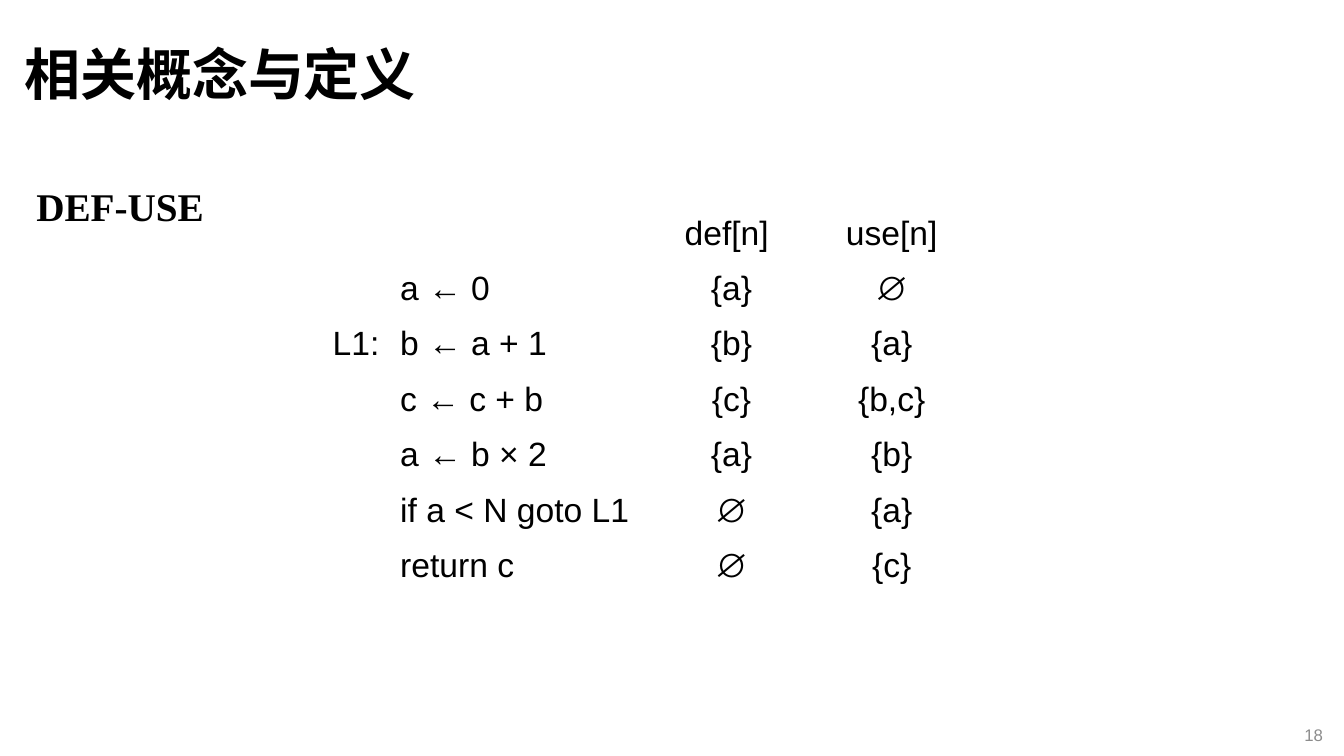
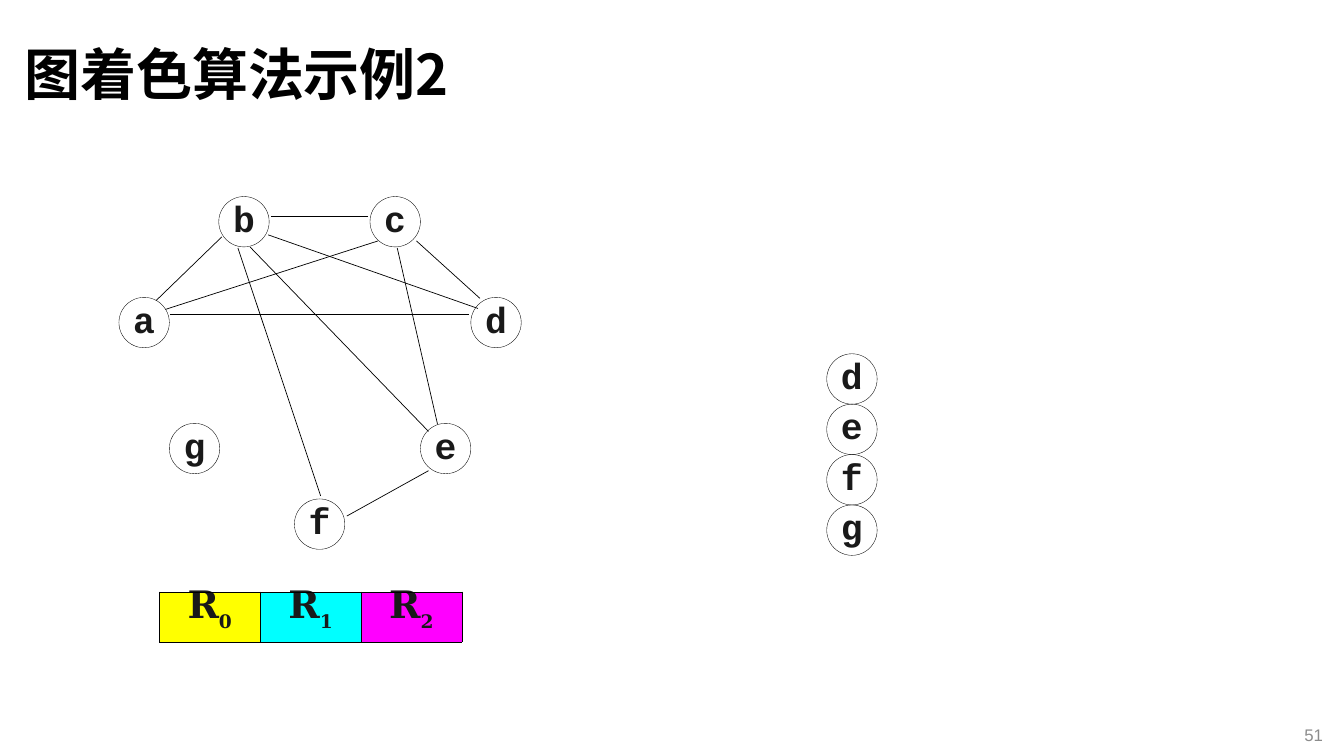
from lxml import etree
from pptx import Presentation
from pptx.dml.color import RGBColor
from pptx.enum.shapes import MSO_CONNECTOR as CONNECTOR, MSO_SHAPE as SHAPE
from pptx.enum.text import MSO_ANCHOR as ANCHOR, MSO_AUTO_SIZE as AUTO_SIZE, PP_ALIGN as ALIGN
from pptx.oxml.ns import qn
from pptx.util import Inches, Pt

# Shared style
BLACK = RGBColor(0x00, 0x00, 0x00)
INK = RGBColor(0x19, 0x19, 0x19)
GREY = RGBColor(0x8C, 0x8C, 0x8C)
YELLOW = RGBColor(0xFF, 0xFF, 0x00)
CYAN = RGBColor(0x00, 0xFF, 0xFF)
MAGENTA = RGBColor(0xFF, 0x00, 0xFF)

TITLE_FONT = "Noto Sans CJK SC"
TEXT_FONT = "Arial"
HEADING_FONT = "Times New Roman"
NODE_FONT = "Courier New"
REGISTER_FONT = "DejaVu Serif"
PLAIN_TABLE = "{2D5ABB26-0587-4C30-8999-92F81FD0307C}"

TITLE_ONLY, TITLE_AND_BODY = 5, 1

# Slide 1: def and use sets of each statement
DEF_USE_COLUMNS = [0.67, 2.54, 1.69, 1.49]
DEF_USE_ROWS = [
    ("", "", "def[n] ", "use[n]"),
    ("", "a ← 0", "{a}", "∅"),
    ("L1:", "b ← a + 1", "{b}", "{a}"),
    ("", "c ← c + b", "{c}", "{b,c}"),
    ("", "a ← b × 2", "{a}", "{b}"),
    ("", "if a < N goto L1", "∅", "{a}"),
    ("", "return c", "∅", "{c}"),
]

# Slide 2: interference graph, stack and registers
NODE_SIZE = 0.5
GRAPH_NODES = {
    "a": (1.18, 2.95), "b": (2.17, 1.95), "c": (3.67, 1.95), "d": (4.67, 2.95),
    "e": (4.17, 4.2), "f": (2.92, 4.95), "g": (1.68, 4.2),
}
GRAPH_EDGES = [
    ((2.48, 2.45), (4.25, 4.28)),  # b-e
    ((3.94, 2.46), (4.34, 4.21)),  # c-e
    ((2.36, 2.46), (3.18, 4.92)),  # b-f
    ((4.25, 4.67), (3.44, 5.12)),  # e-f
    ((2.2, 2.35), (1.55, 2.98)),   # b-a
    ((4.65, 3.12), (1.69, 3.12)),  # d-a
    ((4.76, 2.96), (4.13, 2.39)),  # d-c
    ((3.65, 2.15), (2.69, 2.15)),  # c-b
    ((3.75, 2.39), (1.64, 3.07)),  # c-a
    ((4.74, 3.06), (2.66, 2.33)),  # d-b
]
STACK_LEFT, STACK_TOP = 8.2, 3.51
STACK = "defg"
REGISTER_FILLS = [YELLOW, CYAN, MAGENTA]


def set_font(run, name, size, color, bold=False):
    run.font.name = name
    run.font.size = Pt(size)
    run.font.bold = bold
    run.font.color.rgb = color


def place(shape, left, top, width, height):
    shape.left, shape.top = Inches(left), Inches(top)
    shape.width, shape.height = Inches(width), Inches(height)


def add_page(prs, layout, heading, number):
    """Add a slide with the shared title and page number."""
    slide = prs.slides.add_slide(prs.slide_layouts[layout])
    title = slide.shapes.title
    place(title, 0.14, 0.15, 12.57, 1.24)
    frame = title.text_frame
    frame.text = heading
    frame.auto_size = AUTO_SIZE.NONE
    frame.vertical_anchor = ANCHOR.MIDDLE
    paragraph = frame.paragraphs[0]
    paragraph.alignment = ALIGN.LEFT
    paragraph.line_spacing = 0.9
    run = paragraph.runs[0]
    set_font(run, TITLE_FONT, 40, BLACK, bold=True)
    run.font.language_id = None
    east_asian = etree.SubElement(run.font._element, qn("a:ea"))
    east_asian.set("typeface", TITLE_FONT)

    page_number = slide.shapes.add_textbox(
        Inches(10.22), Inches(7.09), Inches(3), Inches(0.4))
    frame = page_number.text_frame
    frame.word_wrap = True
    frame.vertical_anchor = ANCHOR.MIDDLE
    frame.text = str(number)
    frame.paragraphs[0].alignment = ALIGN.RIGHT
    set_font(frame.paragraphs[0].runs[0], TEXT_FONT, 12, GREY)
    return slide


def add_body_heading(slide, text):
    body = slide.placeholders[1]
    place(body, 0.14, 1.52, 13.12, 5.57)
    frame = body.text_frame
    frame.text = text
    frame.auto_size = AUTO_SIZE.NONE
    paragraph = frame.paragraphs[0]
    properties = paragraph._p.get_or_add_pPr()
    properties.set("marL", str(Inches(0.47)))
    properties.set("indent", str(Inches(-0.35)))
    etree.SubElement(properties, qn("a:buNone"))
    paragraph.line_spacing = 1.5
    paragraph.space_before = Pt(0)
    set_font(paragraph.runs[0], HEADING_FONT, 28, BLACK, bold=True)


def add_plain_table(slide, left, top, columns, row_count, row_height):
    """Add a table without banding, borders or fills."""
    table = slide.shapes.add_table(
        row_count, len(columns), Inches(left), Inches(top),
        Inches(sum(columns)), Inches(row_height * row_count)).table
    table.first_row = table.horz_banding = False
    table._tbl.tblPr.find(qn("a:tableStyleId")).text = PLAIN_TABLE
    for column, width in zip(table.columns, columns):
        column.width = Inches(width)
    for row in table.rows:
        row.height = Inches(row_height)
    for cell in table.iter_cells():
        cell.fill.background()
    return table


def add_def_use_table(slide):
    table = add_plain_table(
        slide, 3.2, 2.08, DEF_USE_COLUMNS, len(DEF_USE_ROWS), 0.55)
    for row, texts in enumerate(DEF_USE_ROWS):
        for column, text in enumerate(texts):
            if not text:
                continue
            frame = table.cell(row, column).text_frame
            frame.text = text
            paragraph = frame.paragraphs[0]
            paragraph.alignment = ALIGN.CENTER if column >= 2 else ALIGN.LEFT
            set_font(paragraph.runs[0], TEXT_FONT, 24, BLACK)


def add_node(slide, label, left, top):
    node = slide.shapes.add_shape(
        SHAPE.OVAL, Inches(left), Inches(top), Inches(NODE_SIZE), Inches(NODE_SIZE))
    node.shadow.inherit = False
    node.fill.background()
    node.line.color.rgb = BLACK
    node.line.width = Pt(0.25)
    frame = node.text_frame
    frame.word_wrap = False
    frame.margin_left = frame.margin_right = frame.margin_top = 0
    frame.margin_bottom = Inches(0.08)
    frame.vertical_anchor = ANCHOR.MIDDLE
    frame.text = label
    frame.paragraphs[0].alignment = ALIGN.CENTER
    set_font(frame.paragraphs[0].runs[0], NODE_FONT, 26, INK, bold=True)


def add_edge(slide, start, end):
    edge = slide.shapes.add_connector(
        CONNECTOR.STRAIGHT, *(Inches(value) for value in start + end))
    edge.line.color.rgb = BLACK
    edge.line.width = Pt(0.5)
    etree.SubElement(edge._element.spPr, qn("a:effectLst"))


def add_cell_borders(cell):
    """Draw thin black borders; they must precede the cell's fill."""
    properties = cell._tc.get_or_add_tcPr()
    for position, side in enumerate(("lnL", "lnR", "lnT", "lnB")):
        border = etree.Element(qn(f"a:{side}"), w=str(Pt(0.25)))
        fill = etree.SubElement(border, qn("a:solidFill"))
        etree.SubElement(fill, qn("a:srgbClr"), val=str(BLACK))
        properties.insert(position, border)


def add_registers(slide):
    table = add_plain_table(slide, 1.58, 5.87, [1] * len(REGISTER_FILLS), 1, 0.5)
    for index, color in enumerate(REGISTER_FILLS):
        cell = table.cell(0, index)
        cell.fill.solid()
        cell.fill.fore_color.rgb = color
        add_cell_borders(cell)
        cell.margin_left = cell.margin_right = 0
        cell.margin_top = cell.margin_bottom = 0
        paragraph = cell.text_frame.paragraphs[0]
        paragraph._p.get_or_add_pPr().set("marL", str(Inches(0.28)))
        paragraph.line_spacing = Pt(29.4)
        for text, size in (("R", 27), (str(index), 23)):
            run = paragraph.add_run()
            run.text = text
            set_font(run, REGISTER_FONT, size, INK, bold=True)
        run.font._element.set("baseline", "-31000")


def main():
    prs = Presentation()
    prs.slide_width, prs.slide_height = Inches(13.33), Inches(7.5)

    # Def and use sets
    slide = add_page(prs, TITLE_AND_BODY, "相关概念与定义", 18)
    add_body_heading(slide, "DEF-USE")
    add_def_use_table(slide)

    # Graph colouring
    slide = add_page(prs, TITLE_ONLY, "图着色算法示例2", 51)
    for label, (left, top) in GRAPH_NODES.items():
        add_node(slide, label, left, top)
    for start, end in GRAPH_EDGES:
        add_edge(slide, start, end)
    add_registers(slide)
    for level, label in enumerate(STACK):
        add_node(slide, label, STACK_LEFT, STACK_TOP + level * NODE_SIZE)

    prs.save("out.pptx")


if __name__ == "__main__":
    main()
